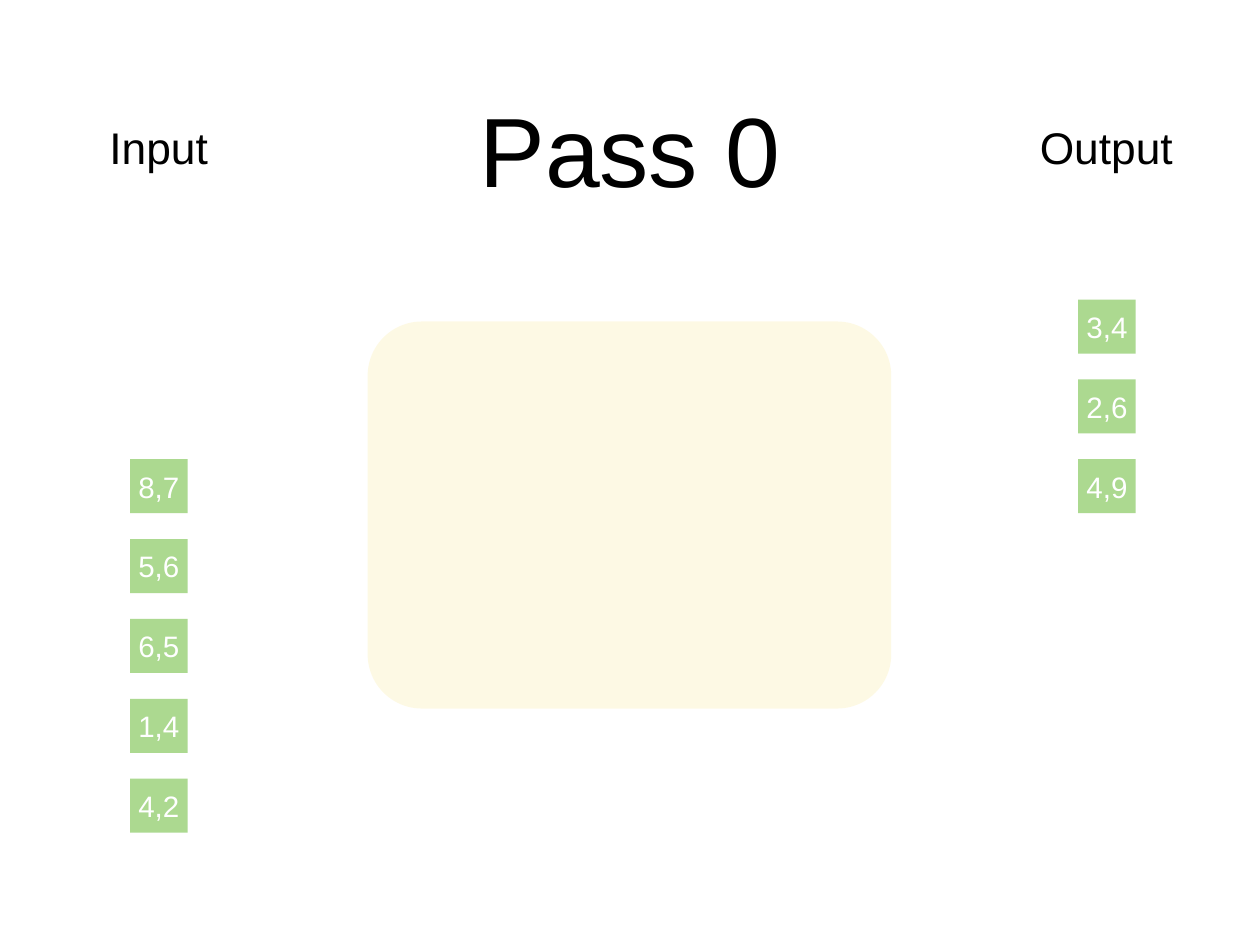
"""Build the slide showing the input and output pages of pass 0."""
import pptx
import pptx.dml.color
import pptx.enum.shapes
import pptx.enum.text
import pptx.oxml
import pptx.oxml.ns
import pptx.util

Cm = pptx.util.Cm
SHAPES = pptx.enum.shapes.MSO_SHAPE
AUTO_SIZE = pptx.enum.text.MSO_AUTO_SIZE


def paint(color_owner, color, opacity=100):
    if hasattr(color_owner, "solid"):
        color_owner.solid()
        color_owner = color_owner.fore_color
    else:
        color_owner = color_owner.color
    color_owner.rgb = pptx.dml.color.RGBColor.from_string(color)
    if opacity < 100:
        alpha = pptx.oxml.parse_xml(
            f'<a:alpha {pptx.oxml.ns.nsdecls("a")} val="{opacity * 1000}"/>')
        color_owner._xFill.find(".//" + pptx.oxml.ns.qn("a:srgbClr")).append(alpha)


def write(shape, text, size, color, margin=0, wrap=True, auto_size=AUTO_SIZE.NONE):
    frame = shape.text_frame
    frame.text = text
    frame_format = {
        "word_wrap": wrap,
        "auto_size": auto_size,
        "vertical_anchor": pptx.enum.text.MSO_ANCHOR.MIDDLE,
    }
    for side in ("left", "top", "right", "bottom"):
        frame_format[f"margin_{side}"] = Cm(margin)
    for name, value in frame_format.items():
        setattr(frame, name, value)
    paragraph = frame.paragraphs[0]
    paragraph.alignment = pptx.enum.text.PP_ALIGN.CENTER
    font = paragraph.runs[0].font
    for name, value in {"name": "Arial", "size": pptx.util.Pt(size)}.items():
        setattr(font, name, value)
    paint(font, color)


presentation = pptx.Presentation()
presentation.slide_width = Cm(36.12)
presentation.slide_height = Cm(27.1)
slide = presentation.slides.add_slide(presentation.slide_layouts[5])

title = slide.shapes.title
title_place = {"left": 2.64, "top": 1.24, "width": 30.84, "height": 6}
for name, value in title_place.items():
    setattr(title, name, Cm(value))
write(title, "Pass 0", 80, "000000")

first_row_top, row_pitch = 8.59, 2.29
columns = [
    {"label": "Input", "label_left": 2.95, "label_width": 3.2, "page_left": 3.73,
     "first_row": 2, "pages": ["8,7", "5,6", "6,5", "1,4", "4,2"]},
    {"label": "Output", "label_left": 29.62, "label_width": 4.19, "page_left": 30.91,
     "first_row": 0, "pages": ["3,4", "2,6", "4,9"]},
]
for column in columns:
    label = slide.shapes.add_textbox(
        Cm(column["label_left"]), Cm(3.3), Cm(column["label_width"]), Cm(1.8))
    write(label, column["label"], 36, "000000", margin=0.15, wrap=False,
          auto_size=AUTO_SIZE.SHAPE_TO_FIT_TEXT)
    for row, numbers in enumerate(column["pages"], column["first_row"]):
        page = slide.shapes.add_shape(
            SHAPES.RECTANGLE, Cm(column["page_left"]),
            Cm(first_row_top + row * row_pitch), Cm(1.65), Cm(1.55))
        page.shadow.inherit = False
        page.line.fill.background()
        paint(page.fill, "70BF41", 58)
        write(page, numbers, 24, "FFFFFF")

memory = slide.shapes.add_shape(
    SHAPES.ROUNDED_RECTANGLE, Cm(10.54), Cm(9.22), Cm(15.01), Cm(11.1))
memory.adjustments[0] = 0.14
memory.shadow.inherit = False
memory.line.fill.background()
paint(memory.fill, "F5D328", 12)

presentation.save("out.pptx")
